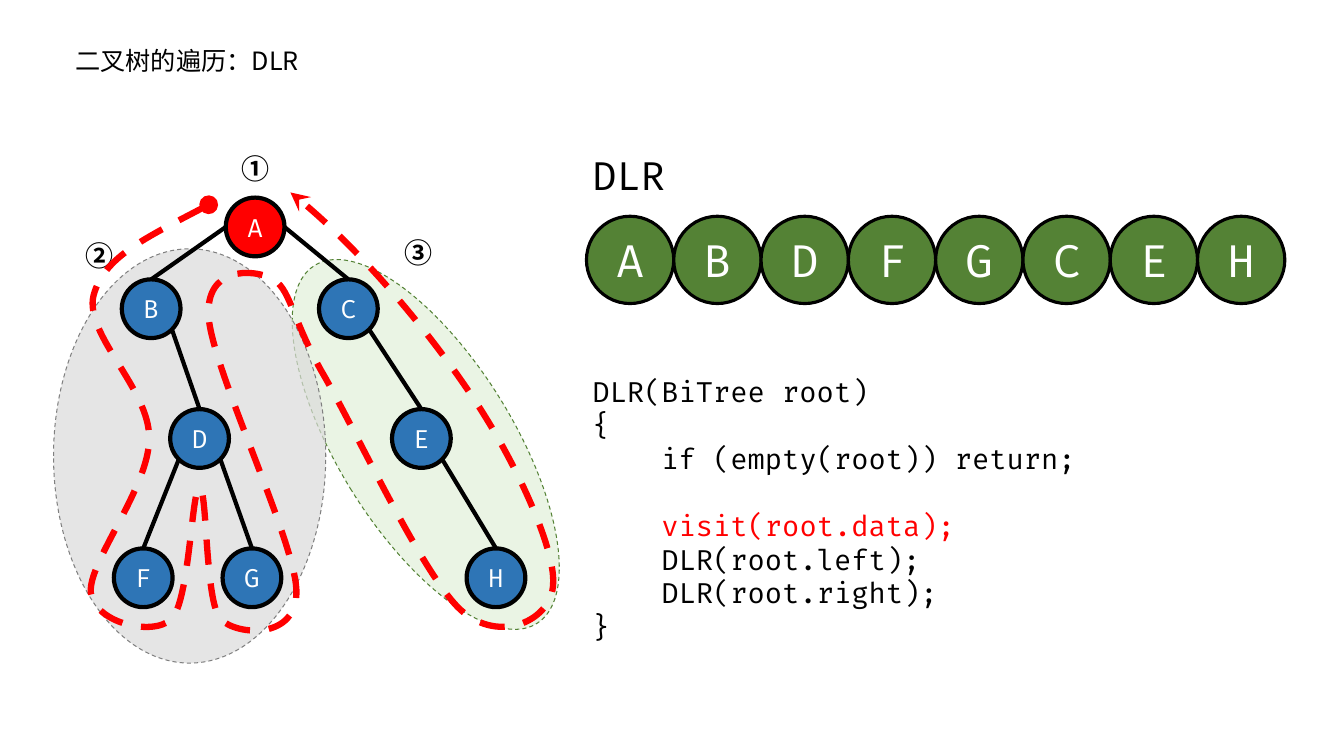
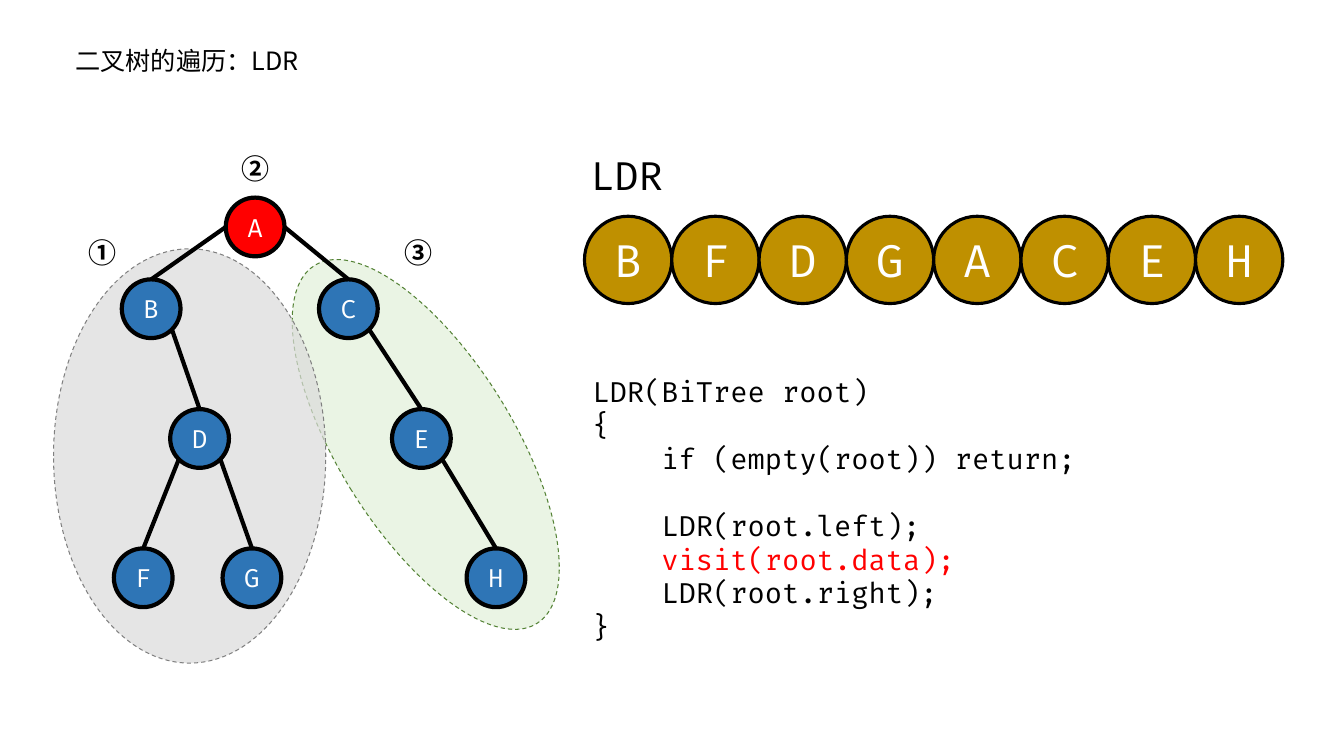
import math

from lxml import etree
from pptx import Presentation
from pptx import util as u
from pptx.dml.color import RGBColor
from pptx.enum import dml, shapes, text
from pptx.oxml import ns

CODE_FONT = "Fira Code"
TEXT_FONT = "Noto Sans CJK SC"
BLACK, WHITE, RED = "000000", "FFFFFF", "FF0000"
BLUE, GREEN, GOLD = "2E75B6", "548235", "BF9000"
GRAY, PALE_GRAY, PALE_GREEN = "808080", "DBDBDB", "E2F0D9"

# Tree: centre of each node, and edges as parent, angle of departure, child
NODE_SIZE = 1.48
NODES = {
    "A": (6.43, 5.72), "B": (3.81, 7.78), "C": (8.78, 7.78),
    "D": (5.03, 11.05), "E": (10.62, 11.05),
    "F": (3.61, 14.56), "G": (6.35, 14.56), "H": (12.5, 14.56),
}
EDGES = [
    ("A", 180, "B"), ("A", 0, "C"), ("B", 45, "D"), ("C", 45, "E"),
    ("D", 135, "F"), ("D", 45, "G"), ("E", 45, "H"),
]

# Walk around the tree: start, then two control points and an end per curve
WALK_START = (5.26, 5.16)
WALK_CURVES = [
    ((3.73, 5.97), (2.62, 6.48), (2.36, 7.44)),
    ((2.11, 8.43), (3.78, 9.8), (3.76, 11.05)),
    ((3.76, 12.29), (2.21, 14.17), (2.29, 14.94)),
    ((2.39, 15.7), (3.86, 16.05), (4.32, 15.6)),
    ((4.78, 15.16), (4.83, 12.29), (5.03, 12.29)),
    ((5.23, 12.29), (5.16, 15.16), (5.56, 15.6)),
    ((5.97, 16.03), (7.52, 16.13), (7.47, 14.86)),
    ((7.42, 13.59), (5.36, 9.32), (5.26, 8)),
    ((5.16, 6.71), (6.38, 6.78), (6.83, 7.01)),
    ((7.32, 7.24), (7.32, 7.95), (8.1, 9.35)),
    ((8.92, 10.74), (10.64, 14.48), (11.61, 15.37)),
    ((12.6, 16.26), (13.92, 15.62), (13.94, 14.71)),
    ((14, 13.82), (12.98, 11.58), (11.86, 9.93)),
    ((10.77, 8.31), (8.92, 6.1), (7.32, 4.85)),
]


def color(value):
    return RGBColor.from_string(value)


def add_child(parent, tag, **attributes):
    return etree.SubElement(parent, ns.qn(tag), attributes)


def style_line(line, value, width, dashed=False):
    line.color.rgb = color(value)
    line.width = u.Pt(width)
    if dashed:
        line.dash_style = dml.MSO_LINE.DASH


def write(para, content, size=20, font=CODE_FONT, ink=BLACK, bold=False,
          align=text.PP_ALIGN.LEFT):
    para.alignment = align
    span = para.add_run()
    span.text = content
    span.font.size = u.Pt(size)
    span.font.name = font
    span.font.bold = bold
    span.font.color.rgb = color(ink)
    add_child(span.font._element, "a:ea", typeface=font)


def add_box(page, left, top, width, height):
    box = page.shapes.add_textbox(*map(u.Cm, (left, top, width, height)))
    box.text_frame.word_wrap = True
    return box.text_frame


def add_text(page, content, left, top, width, height, **style):
    write(add_box(page, left, top, width, height).paragraphs[0], content, **style)


def add_ellipse(page, left, top, width, height, fill, line, line_width, dashed=False):
    ellipse = page.shapes.add_shape(
        shapes.MSO_SHAPE.OVAL, *map(u.Cm, (left, top, width, height)))
    ellipse.shadow.inherit = False
    ellipse.fill.solid()
    ellipse.fill.fore_color.rgb = color(fill)
    style_line(ellipse.line, line, line_width, dashed)
    return ellipse


def add_region(page, left, top, width, height, fill, line, rotation=0):
    region = add_ellipse(page, left, top, width, height, fill, line, 0.75, dashed=True)
    region.rotation = rotation
    fill_color = region._element.spPr.find(".//" + ns.qn("a:srgbClr"))
    add_child(fill_color, "a:alpha", val="70000")


def add_node(page, letter, left, top, diameter, fill, line_width, size):
    node = add_ellipse(page, left, top, diameter, diameter, fill, BLACK, line_width)
    frame = node.text_frame
    frame.word_wrap = False
    frame.vertical_anchor = text.MSO_ANCHOR.MIDDLE
    write(frame.paragraphs[0], letter, size=size, ink=WHITE,
          align=text.PP_ALIGN.CENTER)


def add_edge(page, parent, angle, child):
    radius, turn = NODE_SIZE / 2, math.radians(angle)
    (x1, y1), (x2, y2) = NODES[parent], NODES[child]
    ends = (x1 + radius * math.cos(turn), y1 + radius * math.sin(turn),
            x2, y2 - radius)
    edge = page.shapes.add_connector(
        shapes.MSO_CONNECTOR.STRAIGHT, *map(u.Cm, ends))
    style_line(edge.line, BLACK, 3)
    add_child(edge._element.spPr, "a:effectLst")


def add_tree(page):
    add_region(page, 8.53, 5.89, 4.4, 10.62, PALE_GREEN, GREEN, rotation=328.2)
    add_region(page, 1.35, 6.27, 6.86, 10.44, PALE_GRAY, GRAY)
    for letter, (x, y) in NODES.items():
        add_node(page, letter, x - NODE_SIZE / 2, y - NODE_SIZE / 2, NODE_SIZE,
                 RED if letter == "A" else BLUE, 3, 18)
    for edge in EDGES:
        add_edge(page, *edge)


def add_walk(page):
    builder = page.shapes.build_freeform(*map(u.Cm, WALK_START))
    builder.add_line_segments(
        [tuple(map(u.Cm, curve[-1])) for curve in WALK_CURVES], close=False)
    walk = builder.convert_to_shape()
    walk.shadow.inherit = False
    walk.fill.background()
    style_line(walk.line, RED, 4.5, dashed=True)
    # Bend each straight segment with its control points
    segments = list(walk._element.iter(ns.qn("a:lnTo")))
    for segment, curve in zip(segments, WALK_CURVES):
        segment.tag = ns.qn("a:cubicBezTo")
        for index, (x, y) in enumerate(curve[:2]):
            point = add_child(segment, "a:pt", x=str(u.Cm(x) - walk.left),
                              y=str(u.Cm(y) - walk.top))
            segment.insert(index, point)
    outline = walk.line._get_or_add_ln()
    add_child(outline, "a:headEnd", type="oval")
    add_child(outline, "a:tailEnd", type="stealth")


def add_sequence(page, name, letters, left, fill):
    add_text(page, name, left - 0.1, 3.7, 7.8, 1.45, size=28)
    for index, letter in enumerate(letters):
        add_node(page, letter, left + index * 2.2, 5.45, 2.2, fill, 2.25, 32)


def add_code(page, name, steps):
    frame = add_box(page, 14.68, 9.3, 16.89, 7.09)
    body = ["if (empty(root)) return;"] + steps
    lines = [f"{name}(BiTree root)", "{"] + body + ["}"]
    for index, line in enumerate(lines):
        para = frame.paragraphs[0] if index == 0 else frame.add_paragraph()
        write(para, line, ink=RED if line.startswith("visit") else BLACK)
        if line in body:
            para._p.get_or_add_pPr().set("marL", str(u.Cm(1.74)))
        if line == steps[0]:
            para.space_before = u.Pt(24)


def add_traversal(deck, name, letters, row_left, fill, labels, steps, walk=False):
    page = deck.slides.add_slide(deck.slide_layouts[6])
    add_text(page, f"二叉树的遍历：{name}", 1.65, 1.02, 7.8, 1.02,
             size=18, font=TEXT_FONT)
    add_tree(page)
    add_sequence(page, name, letters, row_left, fill)
    for label, (left, top) in labels.items():
        add_text(page, label, left, top, 1.32, 1.12, font=TEXT_FONT, bold=True,
                 align=text.PP_ALIGN.CENTER)
    if walk:
        add_walk(page)
    add_code(page, name, steps)


def main():
    deck = Presentation()
    deck.slide_width, deck.slide_height = u.Cm(33.87), u.Cm(19.05)
    root_label, right_label = (5.77, 3.7), (9.88, 5.82)
    visit = "visit(root.data);"

    # Root first
    add_traversal(
        deck, "DLR", "ABDFGCEH", 14.78, GREEN,
        {"①": root_label, "②": (1.85, 5.89), "③": right_label},
        [visit, "DLR(root.left);", "DLR(root.right);"], walk=True)

    # Root in the middle
    add_traversal(
        deck, "LDR", "BFDGACEH", 14.73, GOLD,
        {"①": (1.93, 5.82), "②": root_label, "③": right_label},
        ["LDR(root.left);", visit, "LDR(root.right);"])

    deck.save("out.pptx")


if __name__ == "__main__":
    main()
